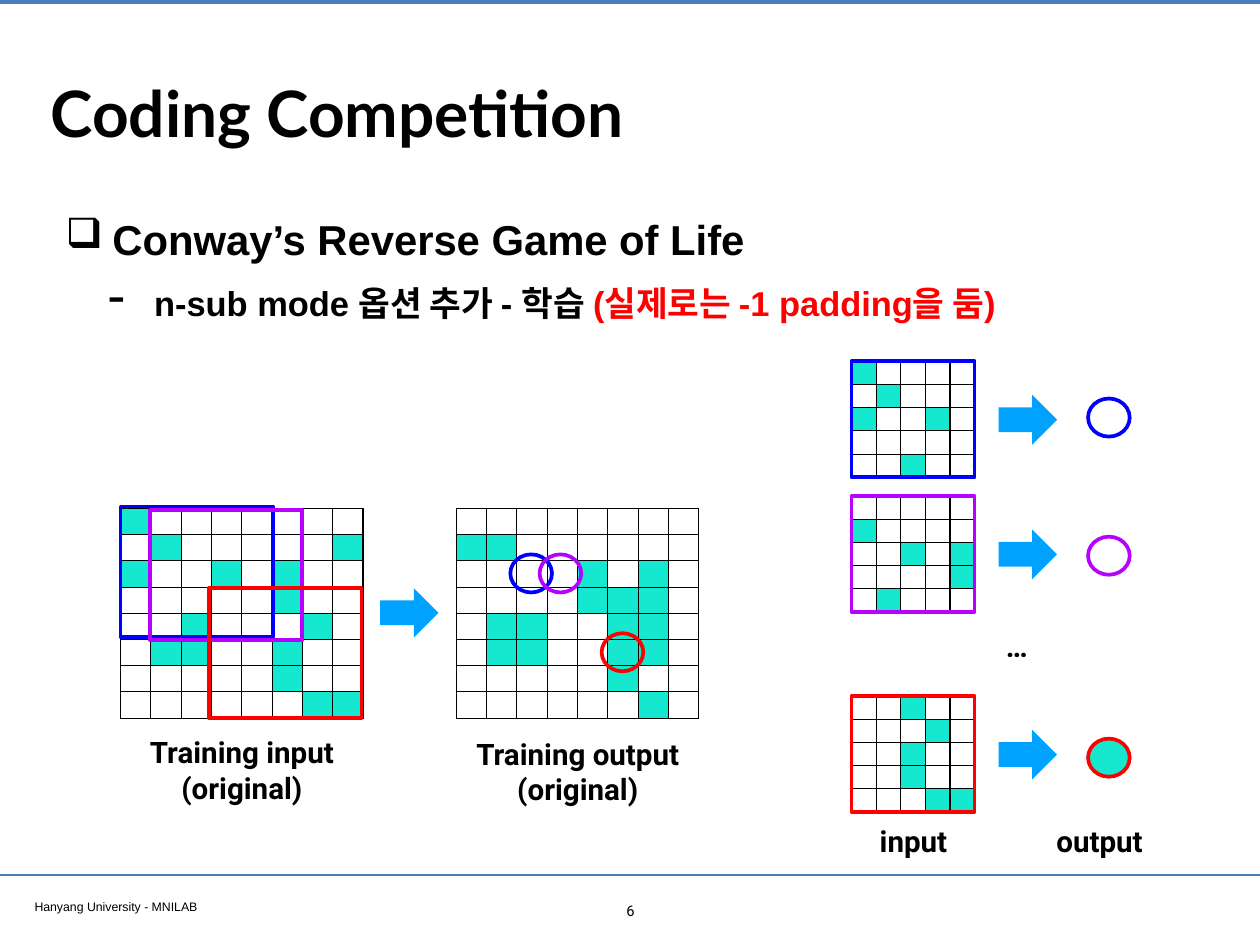
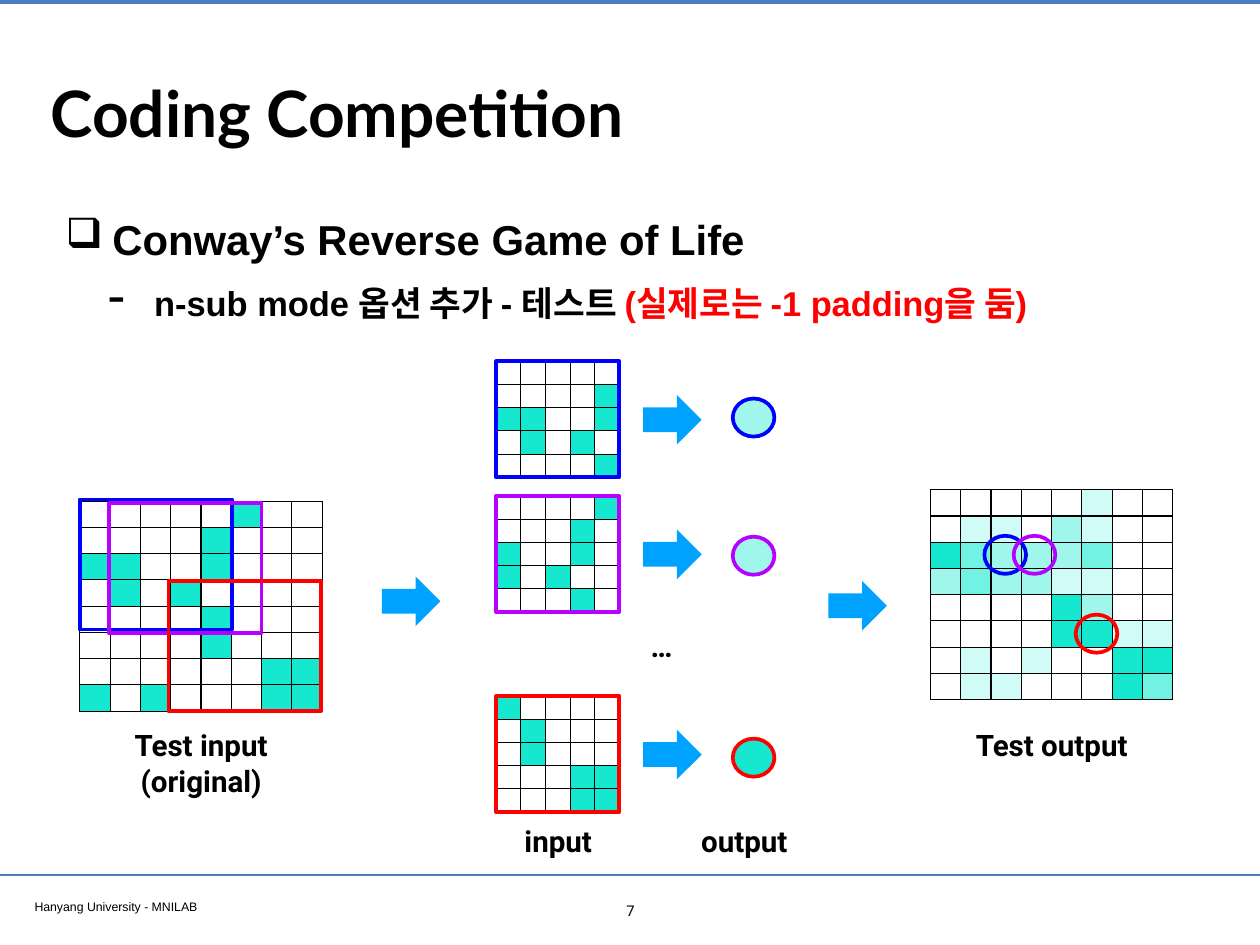
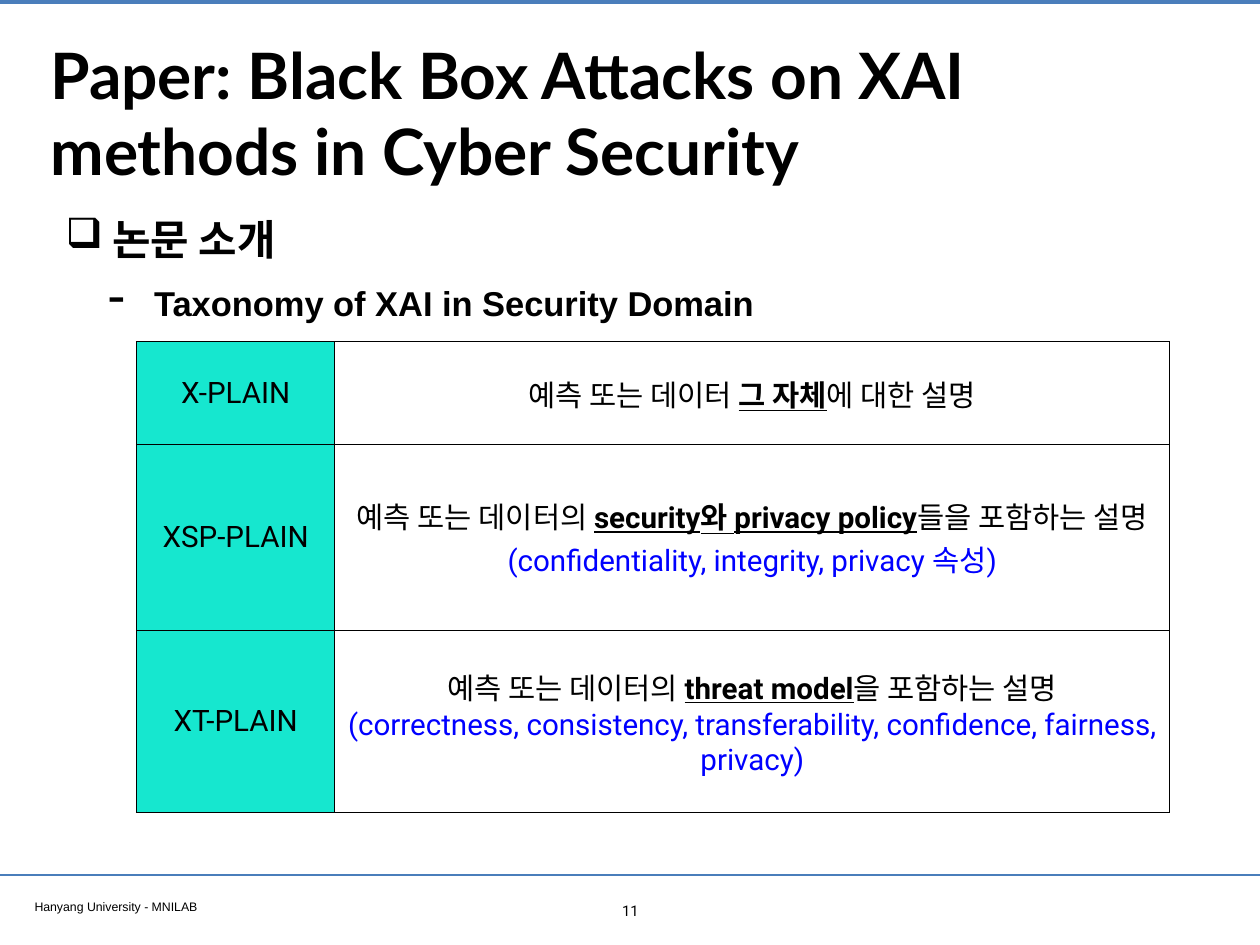
from lxml import etree
from pptx import Presentation
from pptx.dml.color import RGBColor
from pptx.enum import shapes, text
from pptx.oxml.ns import qn
from pptx.util import Inches, Pt

BLACK, RED, BLUE, PURPLE = "000000", "FF0000", "0000FF", "B601FF"
RULE, ARROW, TEAL, PALE = "4A7EBB", "00A2FF", "16E7CF", "A1F6EC"
SHADES = {"1": "D0FBF6", "2": PALE, "3": "72F2E3", "4": TEAL}
MARKERS = (BLUE, PURPLE, RED)
BOARD, WINDOW, RING = (2.74, 2.37), (1.72, 1.47), (0.47, 0.43)
SAMPLE = (1.39, 1.31)
WINDOW_OFFSETS = ((0, -0.02), (0.33, 0.02), (1, 0.9))
RING_OFFSETS = ((0.61, 0.52), (0.94, 0.52), (1.64, 1.41))
SAMPLE_TOPS = (4.08, 5.6, 7.86)
SAMPLE_RING_TOPS = (4.5, 6.06, 8.34)
CENTER = text.PP_ALIGN.CENTER


def color(value):
    return RGBColor.from_string(value)


def inches(*lengths):
    return [Inches(length) for length in lengths]


def set_font(font, name, size, bold=False, fill=BLACK):
    font.name, font.size, font.bold = name, Pt(size), bold
    font.color.rgb = color(fill)


def add_text(page, box, lines, name, size, bold=False, align=None, anchor=None, wrap=True):
    frame = page.shapes.add_textbox(*inches(*box)).text_frame
    frame.word_wrap = wrap
    frame.margin_left = frame.margin_right = Inches(0.06)
    frame.margin_top = frame.margin_bottom = Inches(0.06)
    frame.vertical_anchor = anchor
    for index, line in enumerate(lines):
        para = frame.paragraphs[0] if index == 0 else frame.add_paragraph()
        para.text = line
        para.alignment = align
        set_font(para.font, name, size, bold)
    return frame


def add_label(page, box, lines):
    add_text(page, box, lines, "Roboto", 24, True, CENTER, text.MSO_ANCHOR.MIDDLE, False)


def add_rule(page, top, width):
    line = page.shapes.add_connector(
        shapes.MSO_CONNECTOR.STRAIGHT, *inches(0, top, 14.22, top))
    line.line.color.rgb = color(RULE)
    line.line.width = Pt(width)
    etree.SubElement(line._element.spPr, qn("a:effectLst"))


def add_preset(page, kind, box, fill=None, outline=None):
    shape = page.shapes.add_shape(kind, *inches(*box))
    shape.shadow.inherit = False
    if fill:
        shape.fill.solid()
        shape.fill.fore_color.rgb = color(fill)
    else:
        shape.fill.background()
    if outline:
        shape.line.color.rgb = color(outline)
        shape.line.width = Pt(3)
    else:
        shape.line.fill.background()


def add_arrow(page, left, top):
    add_preset(page, shapes.MSO_SHAPE.RIGHT_ARROW, (left, top, 0.66, 0.56), ARROW)


def add_ring(page, left, top, outline, fill=None):
    add_preset(page, shapes.MSO_SHAPE.OVAL, (left, top, *RING), fill, outline)


def add_window(page, box, outline):
    add_preset(page, shapes.MSO_SHAPE.RECTANGLE, box, outline=outline)


def add_plain_table(page, box, row_count, column_count):
    table = page.shapes.add_table(row_count, column_count, *inches(*box)).table
    table.first_row = table.horz_banding = False
    return table


def style_cell(cell, fill=None):
    """Give the cell thin black borders and an optional fill."""
    properties = cell._tc.get_or_add_tcPr()
    for side in ("lnL", "lnR", "lnT", "lnB"):
        border = etree.SubElement(properties, qn(f"a:{side}"), w=str(Pt(1)))
        solid = etree.SubElement(border, qn("a:solidFill"))
        etree.SubElement(solid, qn("a:srgbClr"), val=BLACK)
    if fill:
        cell.fill.solid()
        cell.fill.fore_color.rgb = color(fill)
    else:
        cell.fill.background()


def add_grid(page, box, pattern):
    """Draw a cell grid from rows of shade digits, with dots for empty cells."""
    rows = pattern.split()
    table = add_plain_table(page, box, len(rows), len(rows[0]))
    for y, row in enumerate(rows):
        for x, shade in enumerate(row):
            cell = table.cell(y, x)
            cell.margin_left = cell.margin_right = 0
            cell.margin_top = cell.margin_bottom = 0
            etree.SubElement(cell.text_frame.paragraphs[0]._p, qn("a:endParaRPr"), sz="800")
            style_cell(cell, SHADES.get(shade))


def add_board(page, left, top, pattern, caption, caption_gap=0.12):
    add_grid(page, (left, top, *BOARD), pattern)
    caption_top = top + BOARD[1] + caption_gap
    height = 0.12 + 0.4 * len(caption)
    add_label(page, (left, caption_top, BOARD[0], height), caption)


def add_input_board(page, left, top, pattern, caption):
    add_board(page, left, top, pattern, caption)
    for (dx, dy), marker in zip(WINDOW_OFFSETS, MARKERS):
        add_window(page, (left + dx, top + dy, *WINDOW), marker)


def add_output_board(page, left, top, pattern, caption, caption_gap=0.12):
    add_board(page, left, top, pattern, caption, caption_gap)
    for (dx, dy), marker in zip(RING_OFFSETS, MARKERS):
        add_ring(page, left + dx, top + dy, marker)


def add_samples(page, left, patterns, ring_fills):
    """Draw the column of windows, each with an arrow to its single output."""
    for top, ring_top, marker, pattern, fill in zip(
            SAMPLE_TOPS, SAMPLE_RING_TOPS, MARKERS, patterns, ring_fills):
        box = (left, top, *SAMPLE)
        add_grid(page, box, pattern)
        add_window(page, box, marker)
        add_arrow(page, left + 1.66, top + 0.38)
        add_ring(page, left + 2.67, ring_top, marker, fill)
    add_label(page, (left + 1.66, 7.03, 0.41, 0.52), ["…"])
    add_label(page, (left + 0.22, 9.23, 0.96, 0.52), ["input"])
    add_label(page, (left + 2.2, 9.23, 1.2, 0.52), ["output"])


def set_bullet(para, symbol, margin, hanging, percent=100):
    para.line_spacing = 1.2
    properties = para._p.get_or_add_pPr()
    properties.set("marL", str(Inches(margin)))
    properties.set("indent", str(-Inches(hanging)))
    etree.SubElement(properties, qn("a:buSzPct"), val=str(percent * 1000))
    etree.SubElement(properties, qn("a:buChar"), char=symbol)


def add_page(deck, number, title, heading, point, remark=""):
    """Start a slide with its bands, footer, title and two-level outline."""
    page = deck.slides.add_slide(deck.slide_layouts[6])
    add_rule(page, 0.02, 3.2)
    add_rule(page, 9.88, 2)
    add_text(page, (0.33, 10.09, 5.46, 0.26), ["Hanyang University - MNILAB"], "Arial", 10)
    add_text(page, (6.92, 10.12, 0.39, 0.31), [str(number)], "Roboto", 12, align=CENTER)
    add_text(page, (0.51, 0.28, 13.21, 1.97), [title], "Lato", 52, True,
             anchor=text.MSO_ANCHOR.MIDDLE)

    outline = add_text(page, (0.68, 2.24, 13.03, 1.6), [], "Arial", 34)
    first, second = outline.paragraphs[0], outline.add_paragraph()
    first.text, second.text = heading, point
    set_bullet(first, "❑", 0.53, 0.53)
    set_bullet(second, "-", 1, 0.52, 145)
    second.space_before = Pt(8)
    set_font(first.font, "Arial", 34, True)
    set_font(second.font, "Arial", 28, True)
    if remark:
        span = second.add_run()
        span.text = remark
        span.font.color.rgb = color(RED)
    return page


def add_game_page(deck, number, phase):
    return add_page(deck, number, "Coding Competition", "Conway’s Reverse Game of Life",
                    f"n-sub mode 옵션 추가 - {phase} ", "(실제로는 -1 padding을 둠)")


def build_training(deck):
    page = add_game_page(deck, 6, "학습")
    add_input_board(page, 1.36, 5.74, """
        4.......
        .4.....4
        4..4.4..
        .....4..
        ..4...4.
        .44..4..
        .....4..
        ......44""", ["Training input", "(original)"])
    add_arrow(page, 4.29, 6.64)
    add_output_board(page, 5.15, 5.74, """
        ........
        44......
        ....4.4.
        ....444.
        .44..44.
        .44..44.
        .....4..
        ......4.""", ["Training output", "(original)"], 0.14)
    add_samples(page, 9.61, (
        "4.... .4... 4..4. ..... ..4..",
        "..... 4.... ..4.4 ....4 .4...",
        "..4.. ...4. ..4.. ..4.. ...44"), (None, None, TEAL))


def build_test(deck):
    page = add_game_page(deck, 7, "테스트")
    add_input_board(page, 0.9, 5.66, """
        .....4..
        ....4...
        44..4...
        .4.4....
        ....4...
        ....4...
        ......44
        4.4...44""", ["Test input", "(original)"])
    add_arrow(page, 4.31, 6.51)
    add_samples(page, 5.6, (
        "..... ....4 44..4 .4.4. ....4",
        "....4 ...4. 4..4. 4.4.. ...4.",
        "4.... .4... .4... ...44 ...44"), (PALE, PALE, TEAL))
    add_arrow(page, 9.35, 6.56)
    add_output_board(page, 10.5, 5.53, """
        .....1..
        .11.21..
        432223..
        232211..
        ....42..
        ....4411
        .1.1..44
        .11...43""", ["Test output"], 0.25)


def fill_cell(cell, lines, fill=None):
    """Write lines of (words, is_key) spans; lines after the first are blue."""
    style_cell(cell, fill)
    cell.vertical_anchor = text.MSO_ANCHOR.MIDDLE
    frame = cell.text_frame
    for index, line in enumerate(lines):
        para = frame.paragraphs[0] if index == 0 else frame.add_paragraph()
        para.alignment = CENTER
        set_font(para.font, "Roboto", 24, fill=BLUE if index else BLACK)
        for words, is_key in line:
            span = para.add_run()
            span.text = words
            if is_key:
                span.font.bold = span.font.underline = True


def add_taxonomy(page, box):
    rows = (
        (1.16, "X-PLAIN", "예측 또는 데이터 ", "그 자체", "에 대한 설명", ""),
        (2.1, "XSP-PLAIN", "예측 또는 데이터의 ", "security와 privacy policy",
         "들을 포함하는 설명", "(confidentiality, integrity, privacy 속성)"),
        (2.05, "XT-PLAIN", "예측 또는 데이터의 ", "threat model", "을 포함하는 설명",
         "(correctness, consistency, transferability, confidence, fairness, privacy)"),
    )
    table = add_plain_table(page, box, len(rows), 2)
    table.columns[0].width, table.columns[1].width = inches(2.24, box[2] - 2.24)
    for index, (height, name, before, key, after, properties) in enumerate(rows):
        table.rows[index].height = Inches(height)
        fill_cell(table.cell(index, 0), [[(name, False)]], TEAL)
        lines = [[(before, False), (key, True), (after, False)]]
        if properties:
            lines.append([(properties, False)])
        fill_cell(table.cell(index, 1), lines)


def build_paper(deck):
    page = add_page(deck, 11, "Paper: Black Box Attacks on XAI methods in Cyber Security",
                    "논문 소개", "Taxonomy of XAI in Security Domain")
    add_taxonomy(page, (1.54, 3.86, 11.66, 5.31))


def main():
    deck = Presentation()
    deck.slide_width, deck.slide_height = inches(14.22, 10.67)
    build_training(deck)
    build_test(deck)
    build_paper(deck)
    deck.save("out.pptx")


if __name__ == "__main__":
    main()
